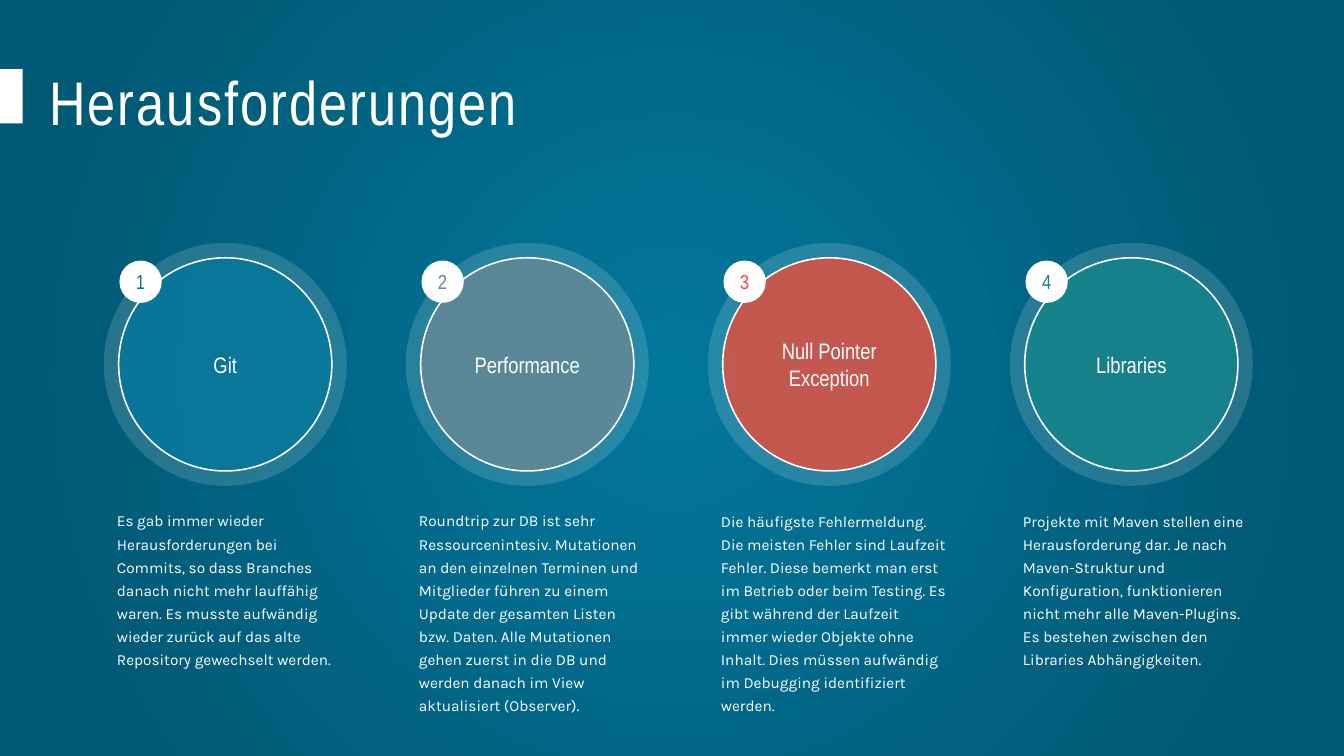
from dataclasses import dataclass

from lxml import etree
from pptx import Presentation
from pptx import util as u
from pptx.dml.color import RGBColor
from pptx.enum import shapes, text
from pptx.oxml import ns, parse_xml

WIDTH, HEIGHT = 26.67, 15
COLORS = {
    "white": "FFFFFF",
    "blue": "02779C",
    "night": "015975",
    "gray": "678893",
    "red": "EA4D3A",
    "teal": "12848A",
}

# Grid: four equal columns; every circle is placed from its column's left edge
FIRST_COLUMN, COLUMN_PITCH = 2.06, 17.98 / 3
RING_TOP, RING_SIZE = 4.82, 4.82
DISC_SIZE, BADGE_SIZE = 4.23, 0.84
DISC_INSET = (RING_SIZE - DISC_SIZE) / 2
BADGE_LEFT, BADGE_DROP = 0.31, 0.35
BODY_TOP, BODY_WIDTH = 9.93, 5.02
ROW_HEIGHT, BODY_PADDING = 0.445, 0.36

HEADING = {"name": "Arial Narrow", "size": u.Pt(88)}
LABEL = {"name": "Arial Narrow", "size": u.Pt(32)}
NUMBER = {"name": "Arial Narrow", "size": u.Pt(29)}
BODY = {"name": "Karla", "size": u.Pt(22)}


@dataclass
class Challenge:
    label: str
    color: str
    rows: int
    body: str


CHALLENGES = [
    Challenge("Git", "blue", 5,
              "Es gab immer wieder Herausforderungen bei Commits, so dass Branches "
              "danach nicht mehr lauffähig waren. Es musste aufwändig wieder zurück "
              "auf das alte Repository gewechselt werden."),
    Challenge("Performance", "gray", 6,
              "Roundtrip zur DB ist sehr Ressourcenintesiv. Mutationen an den "
              "einzelnen Terminen und Mitglieder führen zu einem Update der gesamten "
              "Listen bzw. Daten. Alle Mutationen gehen zuerst in die DB und werden "
              "danach im View aktualisiert (Observer)."),
    Challenge("Null Pointer Exception", "red", 8,
              "Die häufigste Fehlermeldung. Die meisten Fehler sind Laufzeit Fehler. "
              "Diese bemerkt man erst im Betrieb oder beim Testing. Es gibt während "
              "der Laufzeit immer wieder Objekte ohne Inhalt. Dies müssen aufwändig "
              "im Debugging identifiziert werden."),
    Challenge("Libraries", "teal", 7,
              "Projekte mit Maven stellen eine Herausforderung dar. Je nach "
              "Maven-Struktur und Konfiguration, funktionieren nicht mehr alle "
              "Maven-Plugins. Es bestehen zwischen den Libraries Abhängigkeiten."),
]


def rgb(color: str) -> RGBColor:
    return RGBColor.from_string(COLORS[color])


def paint_background(slide) -> None:
    fill = slide.background.fill
    fill.gradient()
    for stop, (position, color) in zip(fill.gradient_stops, [(0, "blue"), (0.85, "night")]):
        stop.position = position
        stop.color.rgb = rgb(color)
    # Radial gradient from the centre
    gradient = slide.background._cSld.find(".//" + ns.qn("a:gradFill"))
    linear = gradient.find(ns.qn("a:lin"))
    radial = parse_xml(
        f'<a:path {ns.nsdecls("a")} path="circle">'
        '<a:fillToRect l="50000" t="50000" r="50000" b="50000"/></a:path>')
    gradient.replace(linear, radial)


def write(shape, content: str, style: dict, color: str, inset: tuple):
    frame = shape.text_frame
    frame.word_wrap = True
    frame.margin_left = frame.margin_right = u.Inches(inset[0])
    frame.margin_top = frame.margin_bottom = u.Inches(inset[1])
    paragraph = frame.paragraphs[0]
    run = paragraph.add_run()
    run.text = content
    for name, value in style.items():
        setattr(run.font, name, value)
    run.font.color.rgb = rgb(color)
    return paragraph


def add_shape(slide, kind, box: tuple, color: str, opacity: int = 100, outline: bool = False):
    shape = slide.shapes.add_shape(kind, *map(u.Inches, box))
    shape.shadow.inherit = False
    shape.fill.solid()
    shape.fill.fore_color.rgb = rgb(color)
    if opacity < 100:
        solid = shape._element.spPr.find(ns.qn("a:solidFill"))
        etree.SubElement(solid[0], ns.qn("a:alpha"), val=str(opacity * 1000))
    if outline:
        shape.line.color.rgb = rgb("white")
        shape.line.width = u.Pt(2.25)
    else:
        shape.line.fill.background()
    return shape


def add_circle(slide, left: float, top: float, size: float, color: str, **look):
    return add_shape(slide, shapes.MSO_SHAPE.OVAL, (left, top, size, size), color, **look)


def center_text(shape, content: str, style: dict, color: str) -> None:
    paragraph = write(shape, content, style, color, (0, 0))
    paragraph.alignment = text.PP_ALIGN.CENTER
    shape.text_frame.vertical_anchor = text.MSO_ANCHOR.MIDDLE


def add_text(slide, box: tuple, content: str, style: dict):
    shape = slide.shapes.add_textbox(*map(u.Inches, box))
    paragraph = write(shape, content, style, "white", (0.26, 0.13))
    shape.text_frame.auto_size = text.MSO_AUTO_SIZE.SHAPE_TO_FIT_TEXT
    return paragraph


def add_challenge(slide, column: int, challenge: Challenge) -> None:
    left = FIRST_COLUMN + column * COLUMN_PITCH
    add_circle(slide, left, RING_TOP, RING_SIZE, "white", opacity=15)
    disc = add_circle(slide, left + DISC_INSET, RING_TOP + DISC_INSET, DISC_SIZE,
                      challenge.color, opacity=80, outline=True)
    center_text(disc, challenge.label, LABEL, "white")
    badge = add_circle(slide, left + BADGE_LEFT, RING_TOP + BADGE_DROP, BADGE_SIZE, "white")
    center_text(badge, str(column + 1), NUMBER, challenge.color)
    height = BODY_PADDING + challenge.rows * ROW_HEIGHT
    paragraph = add_text(slide, (left, BODY_TOP, BODY_WIDTH, height), challenge.body, BODY)
    paragraph.line_spacing = 1.25


def main() -> None:
    presentation = Presentation()
    presentation.slide_width = u.Inches(WIDTH)
    presentation.slide_height = u.Inches(HEIGHT)
    slide = presentation.slides.add_slide(presentation.slide_layouts[6])
    paint_background(slide)

    # Title with its marker at the slide edge
    title = add_text(slide, (0.72, 1.13, 12.16, 1.75), "Herausforderungen", HEADING)
    title.runs[0]._r.get_or_add_rPr().set("spc", "300")
    add_shape(slide, shapes.MSO_SHAPE.RECTANGLE, (0, 1.37, 0.45, 1.08), "white")

    # One column per challenge
    for column, challenge in enumerate(CHALLENGES):
        add_challenge(slide, column, challenge)

    presentation.save("out.pptx")


if __name__ == "__main__":
    main()
